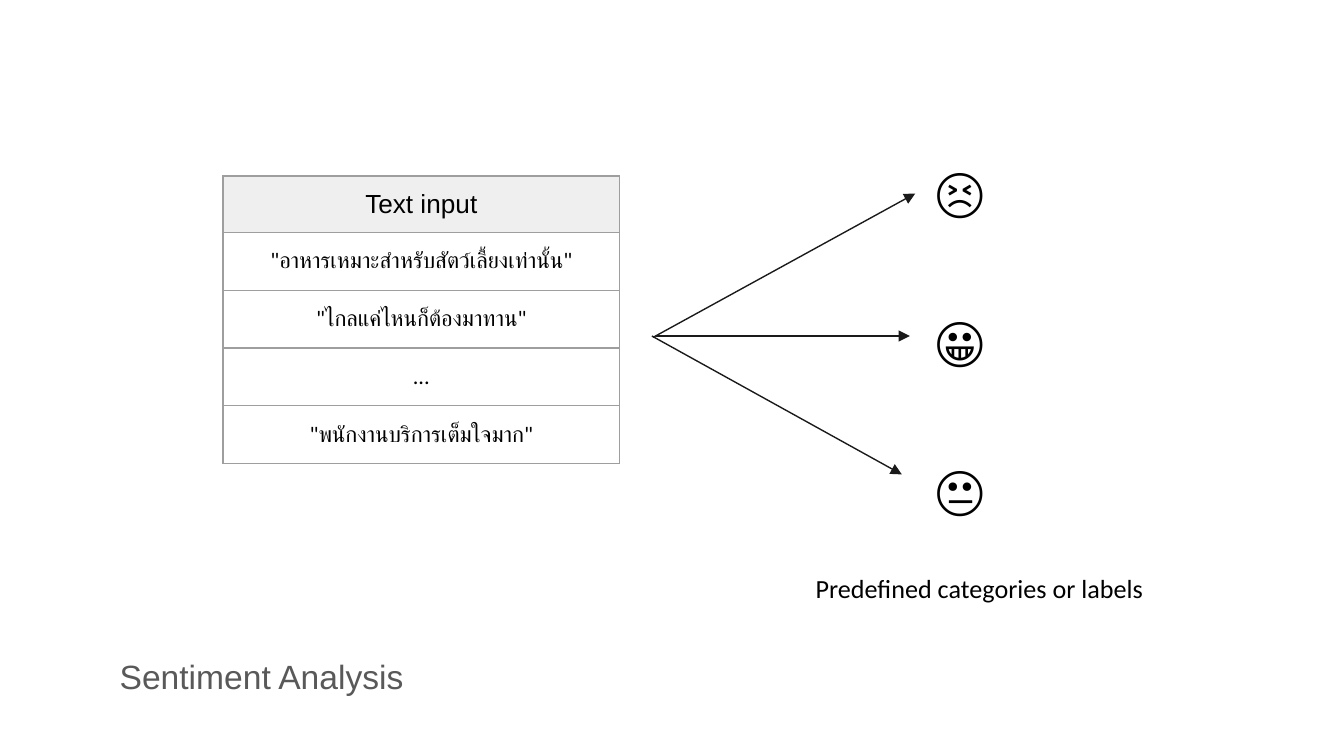
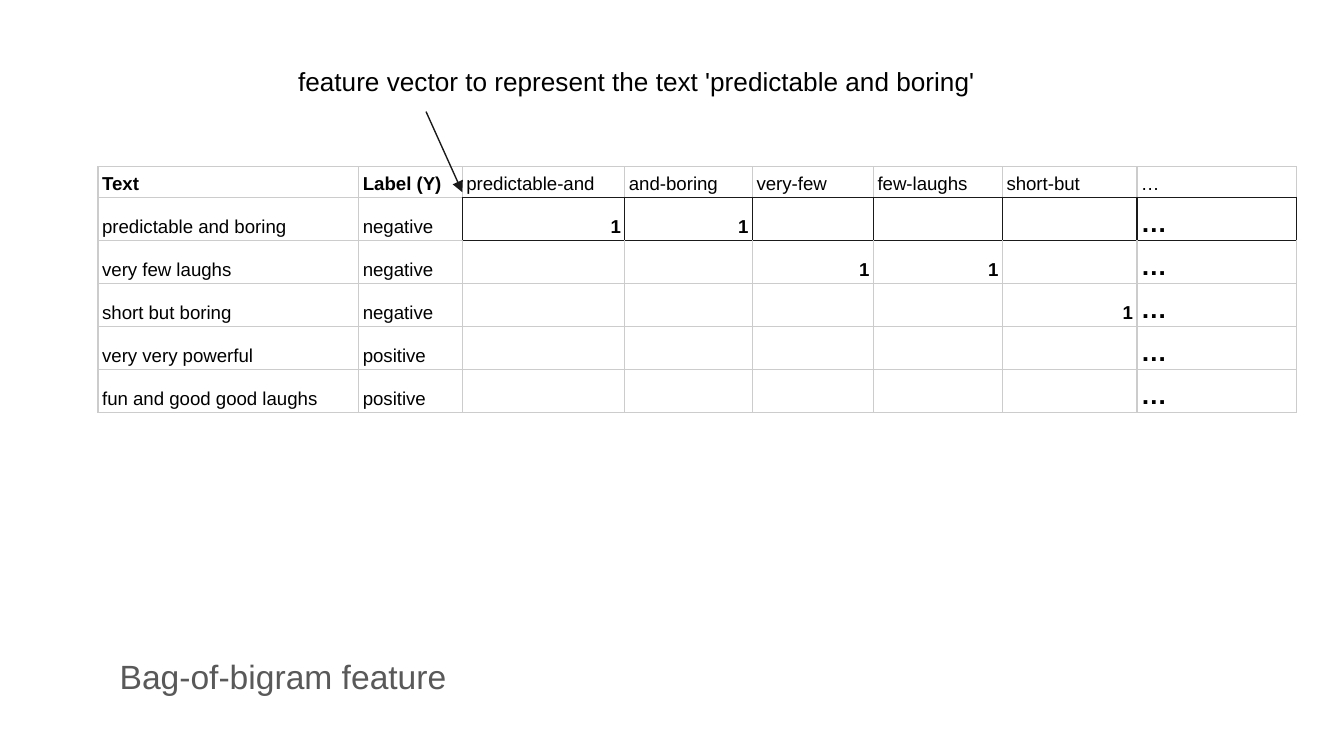
from typing import NamedTuple

from lxml import etree
from pptx import Presentation
from pptx.dml.color import RGBColor
from pptx.enum.shapes import MSO_CONNECTOR
from pptx.enum.text import MSO_ANCHOR, MSO_AUTO_SIZE, PP_ALIGN
from pptx.oxml.ns import qn
from pptx.slide import Slide
from pptx.table import Table, _Cell
from pptx.text.text import TextFrame, _Paragraph
from pptx.util import Inches, Pt

LEFT, MID, RIGHT = PP_ALIGN.LEFT, PP_ALIGN.CENTER, PP_ALIGN.RIGHT
CENTER, BOTTOM = MSO_ANCHOR.MIDDLE, MSO_ANCHOR.BOTTOM
NO_FIT, GROW = MSO_AUTO_SIZE.NONE, MSO_AUTO_SIZE.SHAPE_TO_FIT_TEXT
STRAIGHT = MSO_CONNECTOR.STRAIGHT

BLACK = RGBColor(0x00, 0x00, 0x00)
INK = RGBColor(0x1A, 0x1A, 0x1A)
TITLE = RGBColor(0x59, 0x59, 0x59)
HEAD = RGBColor(0xEF, 0xEF, 0xEF)
EDGE = RGBColor(0x9E, 0x9E, 0x9E)
PALE = RGBColor(0xCC, 0xCC, 0xCC)
SANS, BODY = "Arial", "Calibri"
THIN = Pt(0.75)
WIDE = Inches(10)
TALL = WIDE * 9 // 16
SIDES = {"L": (0, -1), "R": (0, 1), "T": (-1, 0), "B": (1, 0)}

QUOTES = [
    "Text input",
    '"อาหารเหมาะสำหรับสัตว์เลี้ยงเท่านั้น"',
    '"ไกลแค่ไหนก็ต้องมาทาน"',
    "...",
    '"พนักงานบริการเต็มใจมาก"',
]
PAIRS = ["predictable-and", "and-boring", "very-few", "few-laughs", "short-but"]
SAMPLES = [
    ("predictable and boring", "negative", (0, 1)),
    ("very few laughs", "negative", (2, 3)),
    ("short but boring", "negative", (4,)),
    ("very very powerful", "positive", ()),
    ("fun and good good laughs", "positive", ()),
]
WIDTHS = [1.94, 0.77, 1.21, 0.95, 0.9, 0.96, 1, 1.19]


class Style(NamedTuple):
    """Look of a paragraph."""

    size: float
    face: str = SANS
    color: RGBColor = BLACK
    bold: bool = False
    align: PP_ALIGN = LEFT
    space: float = 1.0


class Note(NamedTuple):
    """A text box with its place."""

    text: str
    left: float
    top: float
    width: float
    height: float
    style: Style


class Arrow(NamedTuple):
    """A straight arrow between two points."""

    x1: float
    y1: float
    x2: float
    y2: float


FACE = Style(29, BODY)
NOTES = [Note(face, 6.86, 1.07 + 1.11 * i, 1.01, 0.69, FACE) for i, face in enumerate("😣😀😐")]
NOTES.append(Note("Predefined categories or labels", 5.97, 4.16, 2.79, 0.44, Style(14, BODY)))
ARROWS = [
    Arrow(4.86, 2.51, 6.81, 1.44),
    Arrow(4.88, 2.5, 6.77, 2.5),
    Arrow(4.85, 2.5, 6.71, 3.53),
]
CAPTION = Note(
    "feature vector to represent the text 'predictable and boring'",
    2.12, 0.39, 6.13, 0.44, Style(14),
)


def format_par(par: _Paragraph, text: str, style: Style) -> None:
    """Fill and format a paragraph."""
    par.text = text
    par.alignment = style.align
    par.line_spacing = style.space
    font = par.font
    font.size, font.name, font.bold = Pt(style.size), style.face, style.bold
    font.color.rgb = style.color


def pad_frame(frame: TextFrame) -> None:
    """Wrap a frame and give it even margins."""
    frame.word_wrap = True
    frame.margin_left = frame.margin_right = Inches(0.1)
    frame.margin_top = frame.margin_bottom = Inches(0.1)


def add_slide(deck: Presentation, title: str) -> Slide:
    """Add a slide with its title near the foot."""
    slide = deck.slides.add_slide(deck.slide_layouts[5])
    shape = slide.shapes.title
    shape.left, shape.top = Inches(0.79), Inches(4.78)
    shape.width, shape.height = Inches(8.42), Inches(0.5)
    frame = shape.text_frame
    pad_frame(frame)
    frame.auto_size, frame.vertical_anchor = NO_FIT, CENTER
    format_par(frame.paragraphs[0], title, Style(18, color=TITLE))
    return slide


def add_note(slide: Slide, note: Note) -> None:
    """Draw a text box."""
    box = slide.shapes.add_textbox(
        Inches(note.left), Inches(note.top), Inches(note.width), Inches(note.height)
    )
    pad_frame(box.text_frame)
    box.text_frame.auto_size = GROW
    format_par(box.text_frame.paragraphs[0], note.text, note.style)


def add_arrow(slide: Slide, arrow: Arrow) -> None:
    """Draw an arrow without a shadow."""
    line = slide.shapes.add_connector(STRAIGHT, *(Inches(n) for n in arrow))
    line.line.color.rgb = INK
    line.line.width = THIN
    props = line.element.spPr
    etree.SubElement(props.find(qn("a:ln")), qn("a:tailEnd"), type="triangle")
    etree.SubElement(props, qn("a:effectLst"))


def add_grid(
    slide: Slide, left: float, top: float, widths: list[float], heights: list[float]
) -> Table:
    """Add a plain table with the given column and row sizes."""
    table = slide.shapes.add_table(
        len(heights), len(widths), Inches(left), Inches(top),
        Inches(sum(widths)), Inches(sum(heights)),
    ).table
    table.first_row = table.horz_banding = False
    for col, width in zip(table.columns, widths):
        col.width = Inches(width)
    for row, height in zip(table.rows, heights):
        row.height = Inches(height)
    return table


def set_edge(cell: _Cell, side: str, color: RGBColor) -> None:
    """Draw one border of a cell."""
    props = cell._tc.get_or_add_tcPr()
    line = etree.SubElement(props, qn(f"a:ln{side}"), w=str(THIN))
    fill = etree.SubElement(line, qn("a:solidFill"))
    etree.SubElement(fill, qn("a:srgbClr"), val=str(color))


def set_cell(
    cell: _Cell, text: str, style: Style, anchor: MSO_ANCHOR, pad: tuple[float, float]
) -> None:
    """Fill and format the text of a cell."""
    cell.margin_left = cell.margin_right = Inches(pad[0])
    cell.margin_top = cell.margin_bottom = Inches(pad[1])
    cell.vertical_anchor = anchor
    format_par(cell.text_frame.paragraphs[0], text, style)


def draw_quotes(slide: Slide) -> None:
    """Draw the table of text inputs."""
    table = add_grid(slide, 1.66, 1.31, [2.95], [0.36] + [0.43] * 4)
    for row, text in enumerate(QUOTES):
        cell = table.cell(row, 0)
        for side in SIDES:
            set_edge(cell, side, EDGE)
        style = Style(12, BODY, align=MID) if row else Style(14, align=MID)
        set_cell(cell, text, style, CENTER, (0.1, 0.1))
        if row:
            cell.fill.background()
        else:
            cell.fill.solid()
            cell.fill.fore_color.rgb = HEAD


def in_box(row: int, col: int) -> bool:
    """Tell whether a cell is part of the framed vector."""
    return row == 1 and 2 <= col < len(WIDTHS)


def cell_style(row: int, col: int) -> Style:
    """Choose the style of a bigram cell."""
    if row == 0:
        return Style(10, bold=col < 2, space=1.15)
    if col == len(WIDTHS) - 1:
        return Style(14, bold=True)
    count = col >= 2
    return Style(10, bold=count, align=RIGHT if count else LEFT, space=1.15)


def draw_pairs(slide: Slide) -> None:
    """Draw the table of bigram counts."""
    rows = [["Text", "Label (Y)", *PAIRS, "…"]]
    for text, label, hits in SAMPLES:
        marks = ["1" if i in hits else "" for i in range(len(PAIRS))]
        rows.append([text, label, *marks, "…"])
    table = add_grid(slide, 0.73, 1.24, WIDTHS, [0.23] + [0.32] * len(SAMPLES))
    for row, texts in enumerate(rows):
        for col, text in enumerate(texts):
            cell = table.cell(row, col)
            for side, (down, over) in SIDES.items():
                dark = in_box(row, col) or in_box(row + down, col + over)
                set_edge(cell, side, INK if dark else PALE)
            set_cell(cell, text, cell_style(row, col), BOTTOM, (0.03, 0.02))
            cell.fill.background()


def main() -> None:
    """Build and save the deck."""
    deck = Presentation()
    deck.slide_width, deck.slide_height = WIDE, TALL

    slide = add_slide(deck, "Sentiment Analysis")
    draw_quotes(slide)
    for arrow in ARROWS:
        add_arrow(slide, arrow)
    for note in NOTES:
        add_note(slide, note)

    slide = add_slide(deck, "Bag-of-bigram feature")
    draw_pairs(slide)
    add_arrow(slide, Arrow(3.17, 0.83, 3.44, 1.43))
    add_note(slide, CAPTION)

    deck.save("out.pptx")


if __name__ == "__main__":
    main()
